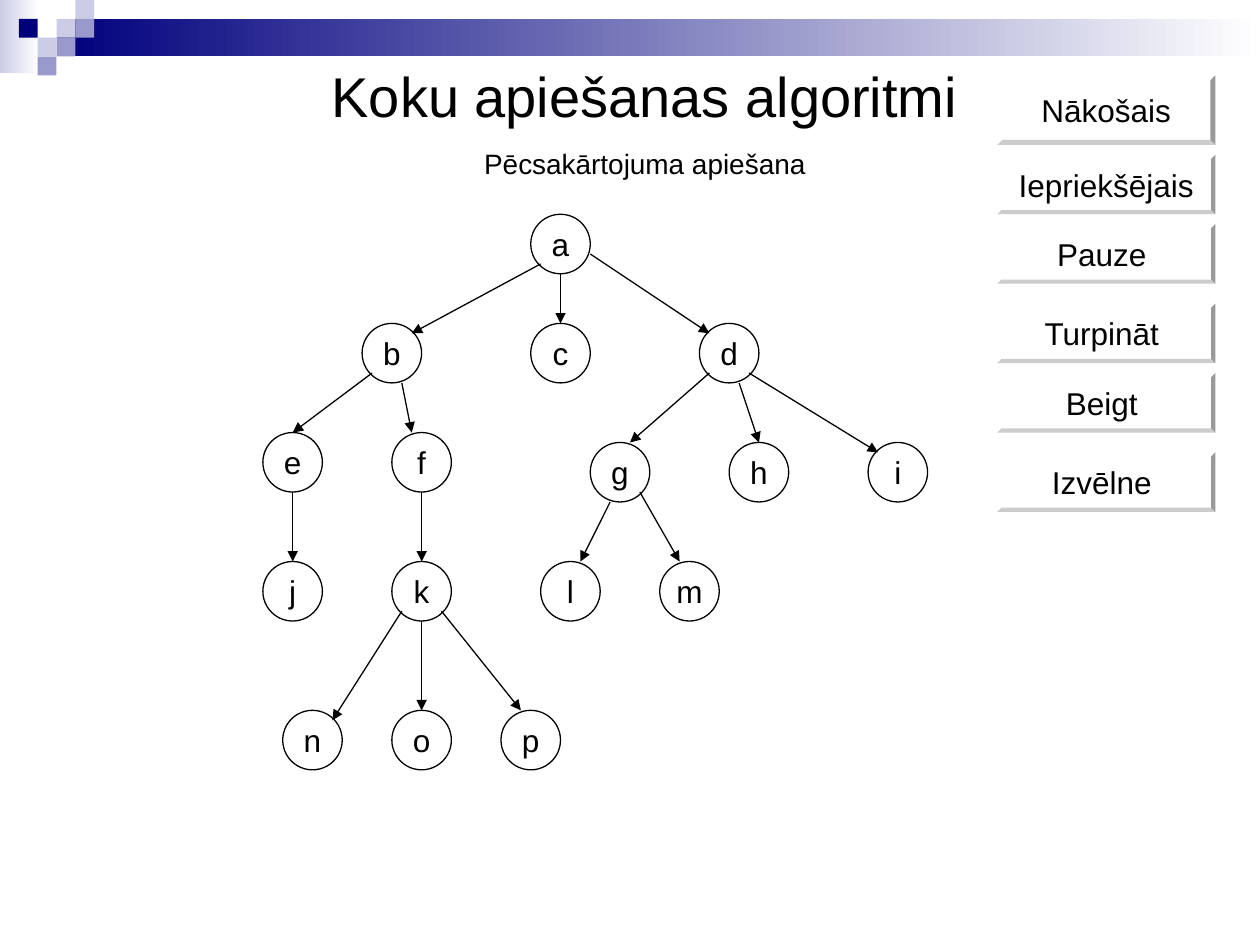
from lxml.etree import SubElement
from pptx import Presentation
from pptx.dml.color import RGBColor
from pptx.enum.shapes import MSO_CONNECTOR, MSO_SHAPE
from pptx.enum.text import MSO_ANCHOR, MSO_AUTO_SIZE, PP_ALIGN
from pptx.oxml.ns import qn
from pptx.util import Cm, Pt

COLORS = {
    "black": "000000",
    "white": "FFFFFF",
    "navy": "00007D",
    "middle": "9999CC",
    "light": "CCCCE6",
}
FONT = "Arial"

SQUARE = 0.38
SQUARES = {
    "light": [(3, 1), (4, 0), (2, 2)],
    "middle": [(4, 1), (3, 2), (2, 3)],
    "navy": [(1, 1)],
}

BUTTONS = [
    ("Nākošais", 0, 1.4),
    ("Iepriekšējais", 1.6, 1.2),
    ("Pauze ", 3, 1.2),
    ("Turpināt ", 4.6, 1.2),
    ("Beigt ", 6, 1.2),
    ("Izvēlne ", 7.6, 1.2),
]

NODE_SIZE = 1.2
NODES = {
    "a": (5.4, 0),
    "b": (2, 2.2), "c": (5.4, 2.2), "d": (8.8, 2.2),
    "e": (0, 4.4), "f": (2.6, 4.4),
    "g": (6.6, 4.6), "h": (9.4, 4.6), "i": (12.2, 4.6),
    "j": (0, 7), "k": (2.6, 7), "l": (5.6, 7), "m": (8, 7),
    "n": (0.4, 10), "o": (2.6, 10), "p": (4.8, 10),
}
TOP, BOTTOM = (0.6, 0), (0.6, 1.2)
LOWER_LEFT, LOWER_RIGHT = (0.2, 1), (1, 1)
UPPER_LEFT, UPPER_RIGHT = (0.2, 0.2), (1, 0.2)
EDGES = [
    ("a", LOWER_LEFT, "b", UPPER_RIGHT),
    ("a", BOTTOM, "c", TOP),
    ("a", (1.2, 0.8), "d", UPPER_LEFT),
    ("b", LOWER_LEFT, "e", TOP),
    ("b", (0.8, 1.2), "f", (0.4, 0)),
    ("d", LOWER_LEFT, "g", (0.8, 0)),
    ("d", (0.8, 1.2), "h", TOP),
    ("d", LOWER_RIGHT, "i", UPPER_LEFT),
    ("e", BOTTOM, "j", TOP),
    ("f", BOTTOM, "k", TOP),
    ("g", (0.4, 1.2), "l", (0.8, 0)),
    ("g", LOWER_RIGHT, "m", (0.4, 0)),
    ("k", LOWER_LEFT, "n", UPPER_RIGHT),
    ("k", BOTTOM, "o", TOP),
    ("k", LOWER_RIGHT, "p", (0.4, 0)),
]


def color(name):
    return RGBColor.from_string(COLORS[name])


def add_run(paragraph, text, size):
    paragraph.alignment = PP_ALIGN.CENTER
    run = paragraph.add_run()
    run.text = text
    run.font.name = FONT
    run.font.size = Pt(size)
    run.font.color.rgb = color("black")


def add_plain_shape(slide, kind, left, top, width, height, fill="white"):
    shape = slide.shapes.add_shape(kind, Cm(left), Cm(top), Cm(width), Cm(height))
    shape.shadow.inherit = False
    shape.fill.solid()
    shape.fill.fore_color.rgb = color(fill)
    shape.line.fill.background()
    return shape


def add_label(shape, text):
    frame = shape.text_frame
    frame.word_wrap = False
    frame.vertical_anchor = MSO_ANCHOR.MIDDLE
    add_run(frame.paragraphs[0], text, 18)


def add_fading_bar(slide, left, top, width, height, start):
    bar = add_plain_shape(slide, MSO_SHAPE.RECTANGLE, left, top, width, height)
    bar.fill.gradient()
    bar.fill.gradient_angle = 0
    for stop, name in zip(bar.fill.gradient_stops, (start, "white")):
        stop.color.rgb = color(name)


def add_banner(slide, left, top, width):
    add_fading_bar(slide, left, top, 0.8, 1.48, "light")
    bar_left = 3 * SQUARE
    add_fading_bar(slide, left + bar_left, top + SQUARE, width - bar_left, 2 * SQUARE, "navy")
    for fill, cells in SQUARES.items():
        for column, row in cells:
            add_plain_shape(slide, MSO_SHAPE.RECTANGLE, left + column * SQUARE,
                            top + row * SQUARE, SQUARE, SQUARE, fill)


def add_heading(slide, left, top, width, height):
    title = slide.shapes.title
    title.left, title.top, title.width, title.height = Cm(left), Cm(top), Cm(width), Cm(height)
    frame = title.text_frame
    frame.word_wrap = True
    frame.auto_size = MSO_AUTO_SIZE.NONE
    frame.vertical_anchor = MSO_ANCHOR.TOP
    add_run(frame.paragraphs[0], "Koku apiešanas algoritmi", 32)
    subtitle = frame.add_paragraph()
    subtitle.space_before = Pt(10)
    add_run(subtitle, "Pēcsakārtojuma apiešana", 16)


def add_buttons(slide, left, top, width):
    for text, offset, height in BUTTONS:
        button = add_plain_shape(slide, MSO_SHAPE.BEVEL, left, top + offset, width, height)
        button.adjustments[0] = 0.07
        add_label(button, text)


def add_arrow(slide, start_x, start_y, end_x, end_y):
    arrow = slide.shapes.add_connector(MSO_CONNECTOR.STRAIGHT, Cm(start_x), Cm(start_y),
                                       Cm(end_x), Cm(end_y))
    arrow.line.color.rgb = color("black")
    arrow.line.width = Pt(0.75)
    SubElement(arrow.line._get_or_add_ln(), qn("a:tailEnd"), type="triangle")
    SubElement(arrow._element.spPr, qn("a:effectLst"))


def add_tree(slide, left, top):
    for name, (x, y) in NODES.items():
        node = add_plain_shape(slide, MSO_SHAPE.OVAL, left + x, top + y, NODE_SIZE, NODE_SIZE)
        node.line.color.rgb = color("black")
        node.line.width = Pt(0.75)
        add_label(node, name)
    for parent, start, child, end in EDGES:
        parent_x, parent_y = NODES[parent]
        child_x, child_y = NODES[child]
        add_arrow(slide, left + parent_x + start[0], top + parent_y + start[1],
                  left + child_x + end[0], top + child_y + end[1])


def main():
    presentation = Presentation()
    presentation.slide_width = Cm(25.4)
    presentation.slide_height = Cm(19.05)
    slide = presentation.slides.add_slide(presentation.slide_layouts[5])
    add_banner(slide, 0, 0, 25.4)
    add_heading(slide, 4.5, 1.12, 17, 2.64)
    add_buttons(slide, 20.1, 1.52, 4.4)
    add_tree(slide, 5.3, 4.32)
    presentation.save("out.pptx")


if __name__ == "__main__":
    main()
